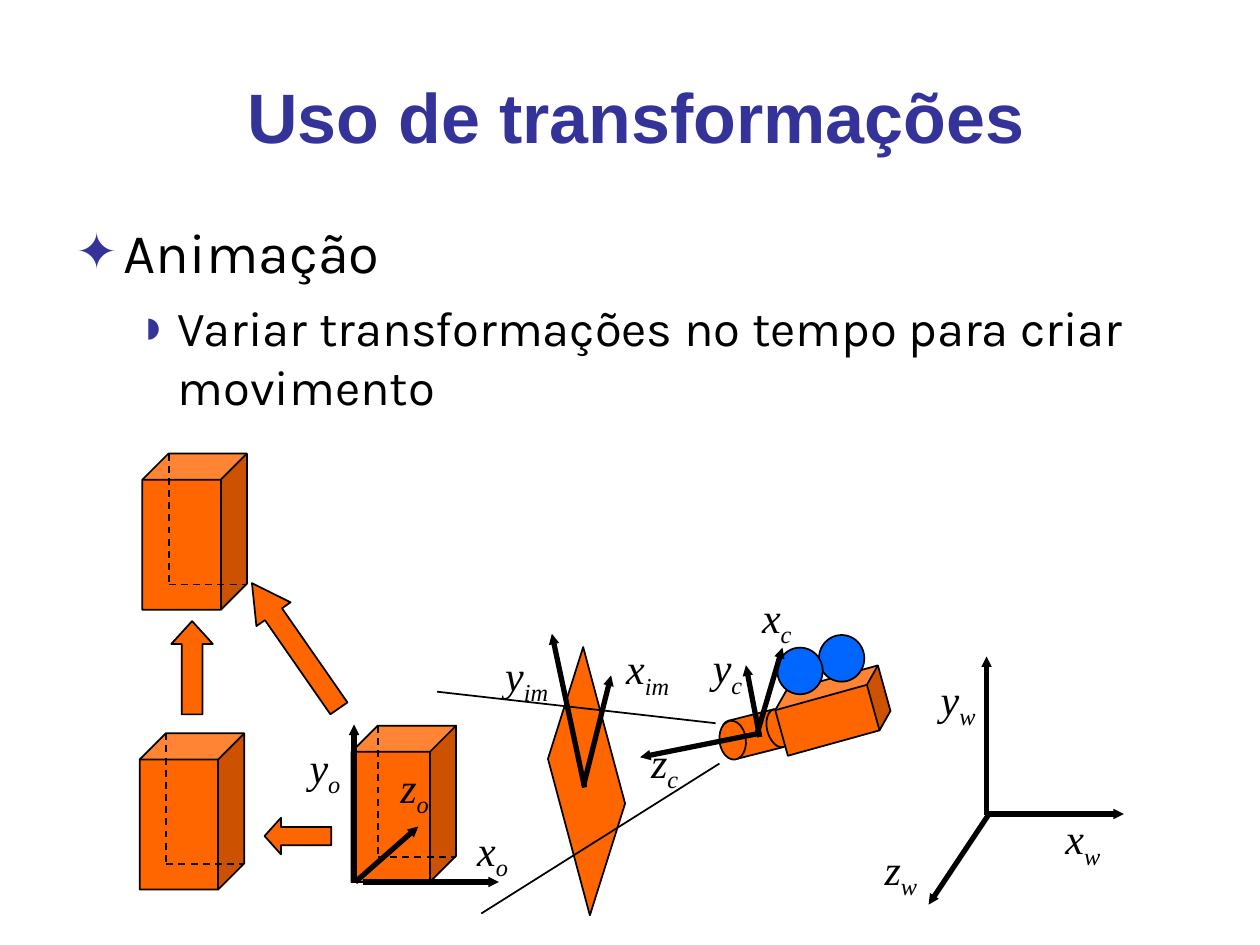
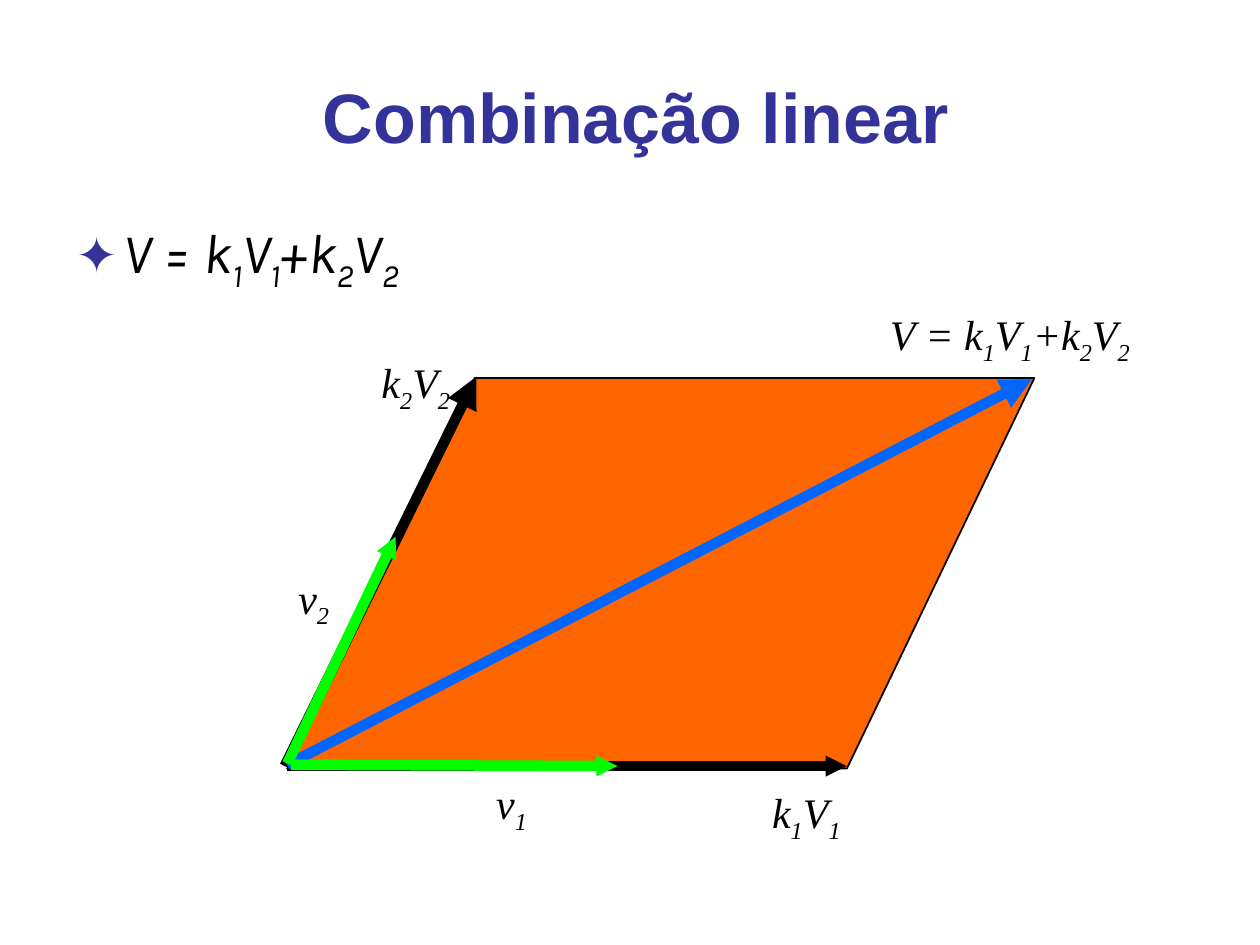
from dataclasses import dataclass

from lxml import etree
from pptx import Presentation
from pptx.dml.color import RGBColor
from pptx.enum.dml import MSO_LINE
from pptx.enum.shapes import MSO_CONNECTOR, MSO_SHAPE
from pptx.enum.text import MSO_ANCHOR, MSO_AUTO_SIZE, PP_ALIGN
from pptx.oxml.ns import qn
from pptx.slide import Slide
from pptx.util import Pt

EMU_PER_PX = 9144  # 100 px to the inch
PAGE_SIZE = (1000, 750)
TITLE_BOX = (17, 22, 975, 108)
BODY_BOX = (50, 168, 894, 548)
LABEL_HEIGHT = 56
LABEL_INSET = 7
BLOCK_SIZE = (83, 124)

COLORS = {
    "ink": "000000",
    "title": "333399",
    "solid": "FF6600",
    "blue": "0066FF",
    "green": "00FF00",
}
TITLE_FONT = {"name": "Arial", "size": Pt(40), "bold": True}
LABEL_FONT = {"name": "Times New Roman", "size": Pt(24), "italic": True}
BODY_LEVELS = [
    {"size": 32, "before": 8, "margin": 38, "hang": 38, "bullet": "✦", "percent": 90},
    {"size": 28, "before": 7, "margin": 81, "hang": 31, "bullet": "◗", "percent": 100},
]

STRAIGHT = MSO_CONNECTOR.STRAIGHT
DASH = MSO_LINE.DASH
CENTER = PP_ALIGN.CENTER
TOP, MIDDLE, BOTTOM = MSO_ANCHOR.TOP, MSO_ANCHOR.MIDDLE, MSO_ANCHOR.BOTTOM
FIXED_SIZE = MSO_AUTO_SIZE.NONE
FIT_SHAPE = MSO_AUTO_SIZE.SHAPE_TO_FIT_TEXT
CUBE = MSO_SHAPE.CUBE
OVAL = MSO_SHAPE.OVAL
DRUM = MSO_SHAPE.FLOWCHART_DIRECT_ACCESS_STORAGE
PARALLELOGRAM = MSO_SHAPE.PARALLELOGRAM
UP_ARROW = MSO_SHAPE.UP_ARROW
LEFT_ARROW = MSO_SHAPE.LEFT_ARROW


def px(*lengths):
    return [length * EMU_PER_PX for length in lengths]


def rgb(name):
    return RGBColor.from_string(COLORS[name])


def add_child(parent, tag, **attributes):
    child = etree.SubElement(parent, qn(tag))
    for name, value in attributes.items():
        child.set(name, str(value))
    return child


def write_spans(para, text, color, font):
    """Write text in which every second part between bars is a subscript."""
    for index, part in enumerate(text.split("|")):
        if not part:
            continue
        span = para.add_run()
        span.text = part
        for name, value in font.items():
            setattr(span.font, name, value)
        span.font.color.rgb = rgb(color)
        if index % 2:
            span._r.get_or_add_rPr().set("baseline", "-25000")


@dataclass
class Region:
    """A part of a page; positions are relative to its left top corner."""

    page: Slide
    left: int
    top: int

    def shape(self, kind, left, top, width, height, color="solid", rotation=0, adjust=()):
        shape = self.page.shapes.add_shape(
            kind, *px(self.left + left, self.top + top, width, height))
        shape.shadow.inherit = False
        shape.fill.solid()
        shape.fill.fore_color.rgb = rgb(color)
        shape.line.color.rgb = rgb("ink")
        shape.line.width = Pt(1)
        shape.rotation = rotation
        for index, value in enumerate(adjust):
            shape.adjustments[index] = value
        return shape

    def line(self, start, end, color="ink", width=1, dashed=False, head=None):
        ends = [(self.left + x, self.top + y) for x, y in (start, end)]
        connector = self.page.shapes.add_connector(STRAIGHT, *px(*ends[0], *ends[1]))
        connector.line.color.rgb = rgb(color)
        connector.line.width = Pt(width)
        if dashed:
            connector.line.dash_style = DASH
        if head:
            add_child(connector.line._get_or_add_ln(), "a:tailEnd",
                      type="triangle", w=head, len=head)
        add_child(connector._element.spPr, "a:effectLst")

    def axes(self, *segments):
        for start, end in segments:
            self.line(start, end, width=3, head="sm")

    def labels(self, *entries):
        for text, left, top, width in entries:
            box = self.page.shapes.add_textbox(
                *px(self.left + left, self.top + top, width, LABEL_HEIGHT))
            frame = box.text_frame
            frame.word_wrap = False
            frame.auto_size = FIT_SHAPE
            frame.vertical_anchor = MIDDLE
            frame.margin_left, frame.margin_right = px(LABEL_INSET, LABEL_INSET)
            para = frame.paragraphs[0]
            para.alignment = CENTER
            write_spans(para, text, "ink", LABEL_FONT)

    def block(self, left, top):
        """A cube with its hidden edges dashed."""
        width, height = BLOCK_SIZE
        self.shape(CUBE, left, top, width, height, adjust=[0.25])
        corner = (left + 21, top + 104)
        self.line((left + 21, top), corner, dashed=True)
        self.line(corner, (left + width, top + 104), dashed=True)


def place(placeholder, box, anchor):
    placeholder.left, placeholder.top, placeholder.width, placeholder.height = px(*box)
    frame = placeholder.text_frame
    frame.auto_size = FIXED_SIZE
    frame.vertical_anchor = anchor
    return frame


def add_page(deck, title, items, italic=False):
    page = deck.slides.add_slide(deck.slide_layouts[1])
    para = place(page.shapes.title, TITLE_BOX, BOTTOM).paragraphs[0]
    para.alignment = CENTER
    write_spans(para, title, "title", TITLE_FONT)

    frame = place(page.placeholders[1], BODY_BOX, TOP)
    for level, text in enumerate(items):
        style = BODY_LEVELS[level]
        para = frame.add_paragraph() if level else frame.paragraphs[0]
        para.level = level
        para.space_before = Pt(style["before"])
        write_spans(para, text, "ink",
                    {"name": "Karla", "size": Pt(style["size"]), "italic": italic})
        properties = para._p.get_or_add_pPr()
        margin, hang = px(style["margin"], style["hang"])
        properties.set("marL", str(margin))
        properties.set("indent", str(-hang))
        bullet_color = add_child(properties, "a:buClr")
        add_child(bullet_color, "a:srgbClr", val=COLORS["title"])
        add_child(properties, "a:buSzPct", val=style["percent"] * 1000)
        add_child(properties, "a:buChar", char=style["bullet"])
    return page


def draw_image_plane(region):
    plane = region.shape(PARALLELOGRAM, 0, 105, 207, 50, rotation=75, adjust=[1.57])
    plane._element.spPr.find(qn("a:xfrm")).set("flipV", "1")
    region.axes(((102, 135), (76, 13)), ((101, 134), (123, 46)))
    region.labels(("y|im", 29, 20, 54), ("x|im", 125, 15, 54))


def draw_moving_blocks(region):
    for left, top in ((168, 216), (2, 0), (0, 222)):
        region.block(left, top)
    region.axes(((177, 340), (285, 340)), ((171, 340), (221, 296)), ((170, 341), (170, 215)))
    region.labels(("x|o", 258, 289, 44), ("z|o", 197, 239, 42), ("y|o", 125, 223, 44))
    region.shape(UP_ARROW, 25, 133, 33, 74, adjust=[0.5, 0.55])
    region.shape(LEFT_ARROW, 99, 289, 53, 29, adjust=[0.5, 0.45])
    region.shape(UP_ARROW, 107, 92, 33, 121, rotation=325.2, adjust=[0.5, 0.91])


def draw_camera(region):
    region.shape(DRUM, 225, 103, 56, 31, rotation=345.8)
    region.shape(OVAL, 224, 108, 21, 31, rotation=353.2)
    region.shape(CUBE, 270, 75, 88, 50, rotation=344.5, adjust=[0.25])
    for left, top in ((303, 40), (270, 50)):
        region.shape(OVAL, left, top, 36, 37, color="blue")
    region.line((224, 142), (35, 261))
    region.line((221, 110), (0, 85))
    region.axes(((256, 118), (161, 137)), ((256, 121), (245, 64)), ((254, 118), (274, 50)))
    region.labels(("y|c", 209, 40, 43), ("x|c", 248, 0, 43), ("z|c", 160, 115, 41))


def draw_world_axes(region):
    region.axes(((91, 125), (200, 125)), ((93, 125), (45, 197)), ((91, 126), (91, 0)))
    region.labels(("x|w", 144, 119, 47), ("z|w", 0, 143, 46), ("y|w", 45, 8, 47))


def draw_vector_sum(region):
    region.shape(PARALLELOGRAM, 2, 60, 593, 310, adjust=[0.48])
    vectors = [
        ((2, 368), (446, 368), "ink", "sm"),
        ((0, 368), (152, 59), "ink", "med"),
        ((2, 367), (593, 61), "blue", "med"),
        ((5, 367), (264, 368), "green", "sm"),
        ((2, 366), (88, 186), "green", "sm"),
    ]
    for start, end, color, head in vectors:
        region.line(start, end, color, width=6, head=head)
    region.labels(
        ("v|1", 158, 372, 44),
        ("v|2", 1, 209, 44),
        ("k|1|V|1", 377, 379, 74),
        ("k|2|V|2", 67, 38, 74),
        ("V = k|1|V|1|+k|2|V|2", 470, 0, 211),
    )


def main():
    deck = Presentation()
    deck.slide_width, deck.slide_height = px(*PAGE_SIZE)

    page = add_page(deck, "Uso de transformações",
                    ["Animação", "Variar transformações no tempo para criar movimento"])
    draw_image_plane(Region(page, 362, 490))
    draw_moving_blocks(Region(page, 111, 360))
    draw_camera(Region(page, 347, 464))
    draw_world_axes(Region(page, 692, 521))

    page = add_page(deck, "Combinação linear", ["V = k|1|V|1|+k|2|V|2"], italic=True)
    draw_vector_sum(Region(page, 226, 240))

    deck.save("out.pptx")


if __name__ == "__main__":
    main()
